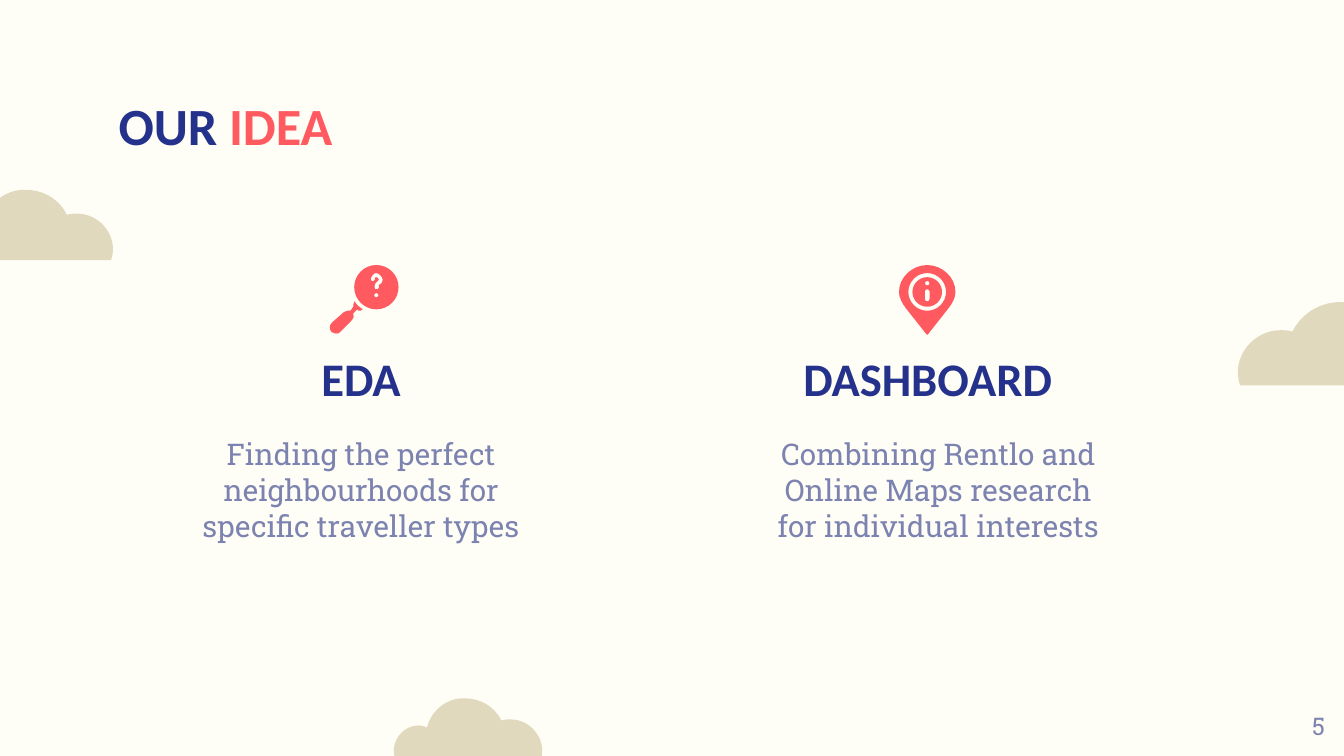
"""Build the "Our idea" slide with its two icon columns and clouds."""
from dataclasses import dataclass

from pptx import Presentation
from pptx.dml.color import RGBColor
from pptx.enum import text
from pptx.oxml.ns import qn
from pptx.util import Cm, Pt


@dataclass(frozen=True)
class Theme:
    """Colours, fonts and type sizes of the slide."""
    paper: str = "FFFEF6"
    navy: str = "25328C"
    coral: str = "FF5A5F"
    muted: str = "7D83B0"
    sand: str = "E1D9BE"
    display: str = "Calibri"
    serif: str = "Roboto Slab"
    title: int = 28
    heading: int = 25
    body: int = 16
    number: int = 13
    leading: float = 19.3


THEME = Theme()
CLOUD_WIDTH = 158
ICON_UNIT = 0.0254


def circle(cx, cy, radius):
    """Return a circle as a start point and four cubic curves."""
    pull = 0.55 * radius
    left, right, top, bottom = cx - radius, cx + radius, cy - radius, cy + radius
    return [(cx, top),
            (cx + pull, top, right, cy - pull, right, cy),
            (right, cy + pull, cx + pull, bottom, cx, bottom),
            (cx - pull, bottom, left, cy + pull, left, cy),
            (left, cy - pull, cx - pull, top, cx, top)]


CLOUD = [
    (82, 0), (67, 0, 53, 8, 46, 22), (43, 21, 40, 21, 37, 21), (16, 21, 0, 42, 7, 62),
    (151, 62), (158, 46, 146, 27, 128, 27), (125, 27, 123, 28, 120, 29),
    (116, 13, 102, 1, 86, 0), (84, 0, 83, 0, 82, 0)]
HANDLE = [
    (19, 27), (18, 28, 18, 30, 18, 31), (16, 34), (15, 34, 14, 34, 14, 34),
    (13, 34, 12, 34, 11, 35), (2, 43), (0, 45, 0, 48, 2, 50), (3, 51, 4, 51, 5, 51),
    (6, 51, 8, 51, 8, 50), (17, 41), (18, 40, 19, 38, 18, 36), (21, 33),
    (21, 34, 22, 34, 23, 34), (23, 34, 24, 34, 25, 33), (22, 31, 20, 29, 19, 27)]
QUESTION = [
    (35, 6), (37, 6, 40, 9, 40, 11), (40, 13, 39, 14, 37, 15), (37, 17),
    (37, 18, 36, 18, 35.5, 18), (34, 18, 34, 18, 34, 17), (34, 15),
    (34, 14, 35, 13, 36, 12), (36, 12, 37, 11, 37, 11), (37, 10, 36, 9, 35, 9),
    (34, 9, 34, 10, 34, 11), (34, 12, 33, 12, 32, 12), (31, 12, 31, 12, 31, 11),
    (31, 9, 33, 6, 35, 6)]
PIN = [
    (21, 0), (10, 0, 0, 9, 0, 20), (0, 24, 2, 28, 5, 32), (20, 51),
    (20, 52, 21, 52, 21, 52), (22, 52, 22, 52, 22, 51), (37, 32),
    (40, 28, 42, 24, 42, 20), (42, 9, 32, 0, 21, 0)]
LETTER_STEM = [
    (21, 18), (22, 18, 22.8, 18.8, 22.8, 19.8), (22.8, 25.2),
    (22.8, 26.2, 22, 27, 21, 27), (20, 27, 19.2, 26.2, 19.2, 25.2), (19.2, 19.8),
    (19.2, 18.8, 20, 18, 21, 18)]

MAGNIFIER_ICON = [[HANDLE], [circle(35.2, 16.5, 16.5), QUESTION, circle(35.2, 22.5, 1.6)]]
PIN_ICON = [[PIN, circle(21, 20, 14)],
            [circle(21, 20, 11), circle(21, 13.5, 1.7), LETTER_STEM]]


def draw_outline(slide, contours, left, top, unit, color):
    """Draw one filled outline of lines and cubic curves; inner contours are holes."""
    builder = None
    for contour in contours:
        start, *points = [(Cm(left + x * unit), Cm(top + y * unit))
                          for part in contour for x, y in zip(part[::2], part[1::2])]
        if builder is None:
            builder = slide.shapes.build_freeform(*start)
        else:
            builder.move_to(*start)
        builder.add_line_segments(points)
    outline = builder.convert_to_shape()
    bend_segments(outline, [part for contour in contours for part in contour[1:]])
    outline.shadow.inherit = False
    outline.fill.solid()
    outline.fill.fore_color.rgb = RGBColor.from_string(color)
    outline.line.fill.background()


def bend_segments(outline, parts):
    """Join each three lines that hold a cubic curve into that curve."""
    route = outline.element.find(".//" + qn("a:path"))
    lines = iter(route.findall(qn("a:lnTo")))
    for part in parts:
        segment = next(lines)
        if len(part) == 6:
            segment.tag = qn("a:cubicBezTo")
            for extra in (next(lines), next(lines)):
                segment.append(extra[0])
                route.remove(extra)


def draw_cloud(slide, left, top, width, mirrored=False):
    """Draw a cloud of the given width, mirrored when asked."""
    cloud = CLOUD
    if mirrored:
        cloud = [tuple(CLOUD_WIDTH - value if i % 2 == 0 else value
                       for i, value in enumerate(part)) for part in CLOUD]
    draw_outline(slide, [cloud], left, top, width / CLOUD_WIDTH, THEME.sand)


def format_run(run, font, size, color, bold=False):
    """Set the font of a run."""
    run.font.name = font
    run.font.size = Pt(size)
    run.font.bold = bold
    run.font.color.rgb = RGBColor.from_string(color)


def set_frame(frame, anchor):
    """Set wrapping, margins and anchor of a text frame."""
    frame.word_wrap = True
    frame.auto_size = text.MSO_AUTO_SIZE.NONE
    frame.vertical_anchor = anchor
    frame.margin_left = frame.margin_right = Cm(0.25)
    frame.margin_top = frame.margin_bottom = Cm(0.25)


def add_label(slide, box, words, align, anchor, font, size, color, bold=False):
    """Add a one-paragraph text box and return its paragraph."""
    frame = slide.shapes.add_textbox(*map(Cm, box)).text_frame
    set_frame(frame, anchor)
    paragraph = frame.paragraphs[0]
    paragraph.text = words
    paragraph.alignment = align
    format_run(paragraph.runs[0], font, size, color, bold)
    return paragraph


def place_title(slide, left, top, width, height):
    """Place the two-coloured title."""
    title = slide.shapes.title
    title.left, title.top, title.width, title.height = map(Cm, (left, top, width, height))
    set_frame(title.text_frame, text.MSO_ANCHOR.TOP)
    paragraph = title.text_frame.paragraphs[0]
    paragraph.alignment = text.PP_ALIGN.LEFT
    for word, color in (("OUR ", THEME.navy), ("IDEA", THEME.coral)):
        run = paragraph.add_run()
        run.text = word
        format_run(run, THEME.display, THEME.title, color, True)


def add_column(slide, left, top, width, icon, icon_shift, heading, body, body_shift,
               body_height):
    """Add an icon, a heading and a description, one below the other."""
    for contours in icon:
        draw_outline(slide, contours, left + icon_shift, top, ICON_UNIT, THEME.coral)
    center = text.PP_ALIGN.CENTER
    add_label(slide, (left, top + 1.33, width, 1.6), heading, center,
              text.MSO_ANCHOR.MIDDLE, THEME.display, THEME.heading, THEME.navy, True)
    description = add_label(
        slide, (left + body_shift, top + 2.97, width, body_height), body, center,
        text.MSO_ANCHOR.TOP, THEME.serif, THEME.body, THEME.muted)
    description.line_spacing = Pt(THEME.leading)


def main():
    """Build and save the slide."""
    deck = Presentation()
    deck.slide_width, deck.slide_height = Cm(25.4), Cm(14.29)
    slide = deck.slides.add_slide(deck.slide_layouts[5])
    slide.background.fill.solid()
    slide.background.fill.fore_color.rgb = RGBColor.from_string(THEME.paper)

    draw_cloud(slide, -1.13, 3.59, 3.38, mirrored=True)
    draw_cloud(slide, 7.35, 13.2, 3, mirrored=True)
    draw_cloud(slide, 23.26, 5.71, 4.01)
    place_title(slide, 1.99, 1.52, 21.44, 2.13)
    add_column(slide, 3.41, 5.01, 6.83, MAGNIFIER_ICON, 2.81, "EDA",
               "Finding the perfect neighbourhoods for specific traveller types",
               0, 2.87)
    add_column(slide, 14.12, 5.01, 6.83, PIN_ICON, 2.87, "DASHBOARD",
               "Combining Rentlo and Online Maps research for individual interests",
               0.2, 3.23)
    add_label(slide, (23.77, 13.18, 1.52, 1.09), "5", text.PP_ALIGN.RIGHT,
              text.MSO_ANCHOR.MIDDLE, THEME.serif, THEME.number, THEME.muted)
    deck.save("out.pptx")


if __name__ == "__main__":
    main()
